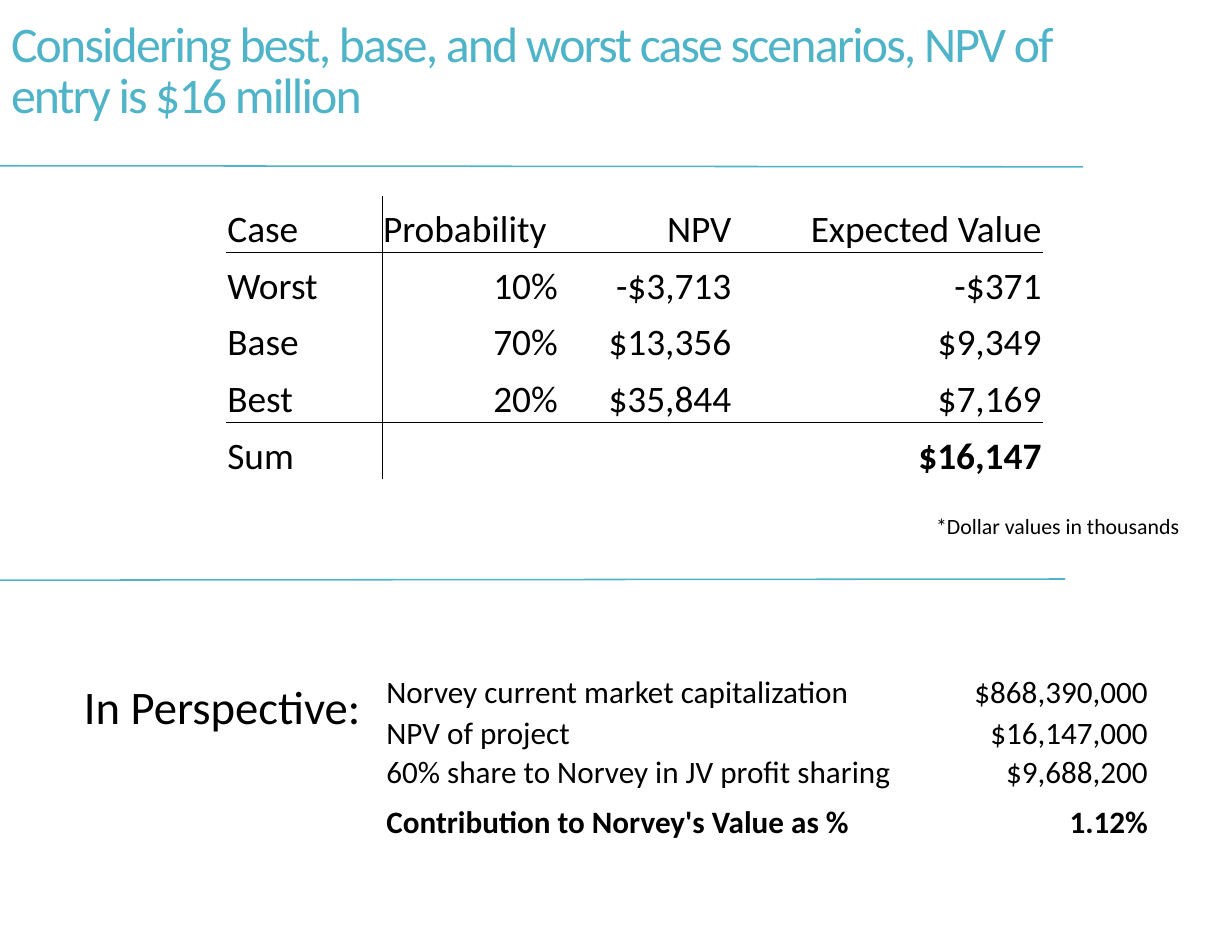
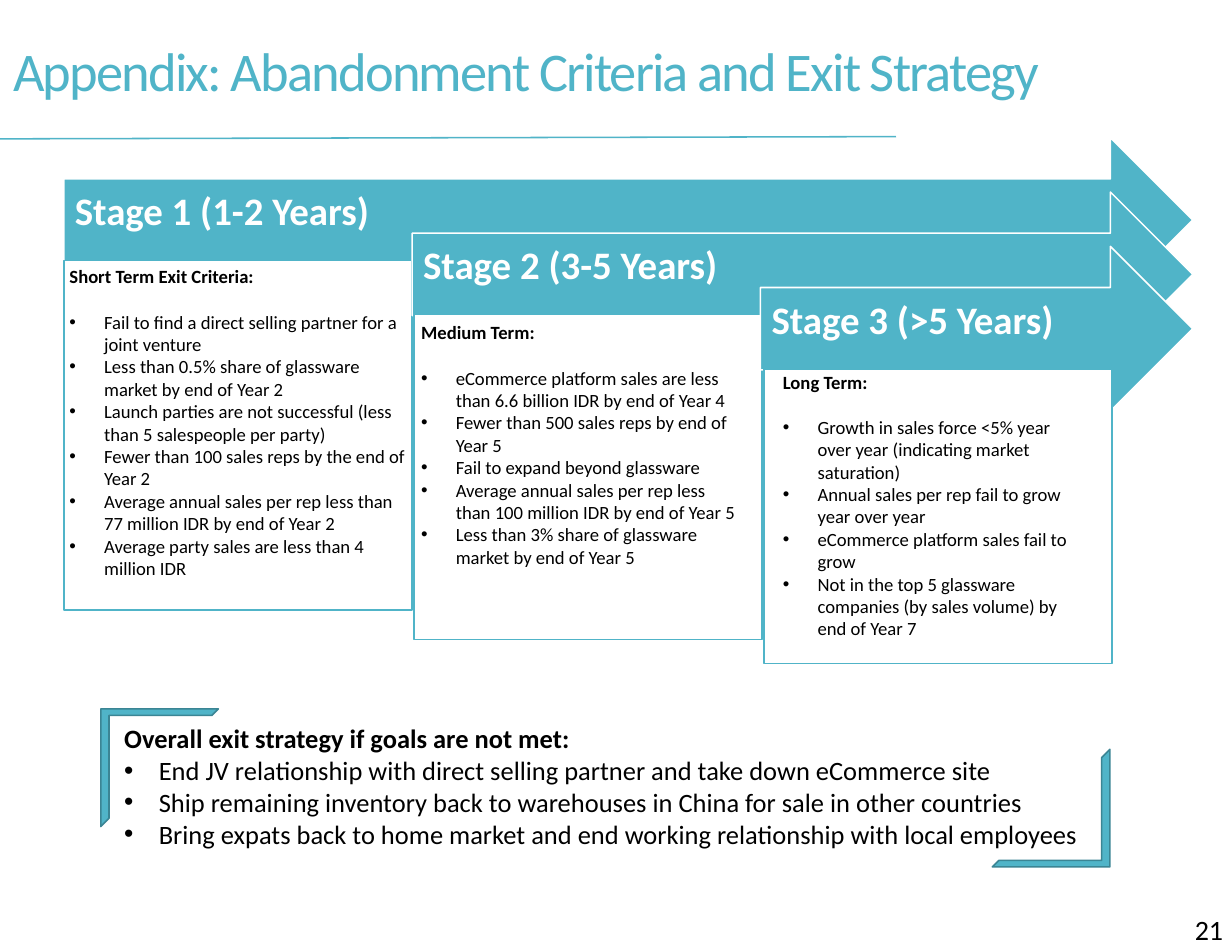
from lxml import etree
from pptx import Presentation
from pptx.dml.color import RGBColor
from pptx.enum.shapes import MSO_CONNECTOR, MSO_SHAPE
from pptx.enum.text import MSO_ANCHOR, PP_ALIGN
from pptx.oxml.ns import qn
from pptx.util import Inches, Pt

LEFT, CENTER, RIGHT = PP_ALIGN.LEFT, PP_ALIGN.CENTER, PP_ALIGN.RIGHT
TOP, MIDDLE, BOTTOM = MSO_ANCHOR.TOP, MSO_ANCHOR.MIDDLE, MSO_ANCHOR.BOTTOM
RECT, ARROW, FRAME = MSO_SHAPE.RECTANGLE, MSO_SHAPE.RIGHT_ARROW, MSO_SHAPE.HALF_FRAME
FONT = "Calibri"
TEAL, DARK_TEAL, BLACK, WHITE = "50B4C8", "3B8594", "000000", "FFFFFF"
NO_STYLE = "{2D5ABB26-0587-4C30-8999-92F81FD0307C}"

# Content
SCENARIO_TITLE = "Considering best, base, and worst case scenarios, NPV of entry is $16 million"
SCENARIOS = [
    ["", "", "", ""],
    ["", "", "", ""],
    ["Case", "Probability", "NPV", "Expected Value"],
    ["Worst", "10%", "-$3,713", "-$371"],
    ["Base", "70%", "$13,356", "$9,349"],
    ["Best", "20%", "$35,844", "$7,169"],
    ["Sum", "", "", "$16,147"],
]
HEADER_ROW, BEST_ROW, SUM_ROW = 2, 5, 6
PERSPECTIVE = [
    ["Norvey current market capitalization", "$868,390,000"],
    ["NPV of project", "$16,147,000"],
    ["60% share to Norvey in JV profit sharing", "$9,688,200"],
    ["Contribution to Norvey's Value as %", "1.12%"],
]
EXIT_TITLE = "Appendix: Abandonment Criteria and Exit Strategy"
# Each stage: label, heading, criteria, box height, text area
STAGES = [
    ("Stage 1 (1-2 Years)", "Short Term Exit Criteria:", [
        "Fail to find a direct selling partner for a joint venture",
        "Less than 0.5% share of glassware market by end of Year 2",
        "Launch parties are not successful (less than 5 salespeople per party)",
        "Fewer than 100 sales reps by the end of Year 2",
        "Average annual sales per rep less than 77 million IDR by end of Year 2",
        "Average party sales are less than 4 million IDR",
    ], 3.12, (0.57, 2.32, 3.11, 3.2)),
    ("Stage 2 (3-5 Years)", "Medium Term:", [
        "eCommerce platform sales are less than 6.6 billion IDR by end of Year 4",
        "Fewer than 500 sales reps by end of Year 5",
        "Fail to expand beyond glassware",
        "Average annual sales per rep less than 100 million IDR by end of Year 5",
        "Less than 3% share of glassware market by end of Year 5",
    ], 2.9, (3.71, 2.82, 2.95, 2.83)),
    ("Stage 3 (>5 Years)", "Long Term:", [
        "Growth in sales force <5% year over year (indicating market saturation)",
        "Annual sales per rep fail to grow year over year",
        "eCommerce platform sales fail to grow",
        "Not in the top 5 glassware companies (by sales volume) by end of Year 7",
    ], 2.63, (6.94, 3.26, 2.79, 2.83)),
]
STRATEGY_HEADING = "Overall exit strategy if goals are not met:"
STRATEGY = [
    "End JV relationship with direct selling partner and take down eCommerce site",
    "Ship remaining inventory back to warehouses in China for sale in other countries",
    "Bring expats back to home market and end working relationship with local employees",
]


# Shared helpers
def rgb(value):
    return RGBColor.from_string(value)


def inches(values):
    return [Inches(v) for v in values]


def add_para(tf, text, size=18, color=BLACK, bold=False, align=LEFT, bullet=False,
             line=None, after=0, tracking=None):
    p = tf.paragraphs[0] if not tf.paragraphs[0].runs else tf.add_paragraph()
    p.alignment, p.space_after = align, Pt(after)
    if line:
        p.line_spacing = line
    if bullet:
        pPr = p._p.get_or_add_pPr()
        pPr.set("marL", str(Inches(0.31)))
        pPr.set("indent", str(-Inches(0.31)))
        etree.SubElement(pPr, qn("a:buFont")).set("typeface", "Arial")
        etree.SubElement(pPr, qn("a:buChar")).set("char", "•")
    r = p.add_run()
    r.text = text
    r.font.name, r.font.size, r.font.bold = FONT, Pt(size), bold
    r.font.color.rgb = rgb(color)
    if tracking:
        r.font._element.set("spc", str(tracking))


def add_box(s, at, anchor=TOP, margins=(0.1, 0.05, 0.1, 0.05), wrap=True):
    tf = s.shapes.add_textbox(*inches(at)).text_frame
    tf.word_wrap, tf.vertical_anchor = wrap, anchor
    tf.margin_left, tf.margin_top, tf.margin_right, tf.margin_bottom = inches(margins)
    return tf


def add_list(tf, heading, items, size, gap=0):
    add_para(tf, heading, size=size, bold=True, after=gap)
    for item in items:
        add_para(tf, item, size=size, bullet=True)


def add_title(s, text, size, at):
    add_para(add_box(s, at, MIDDLE), text, size=size, color=TEAL, line=0.85, tracking=-120)


def add_rule(s, x, y1, y2):
    c = s.shapes.add_connector(MSO_CONNECTOR.STRAIGHT, *inches((0, y1, x, y2)))
    c.line.color.rgb, c.line.width = rgb(TEAL), Pt(1)
    etree.SubElement(c._element.spPr, qn("a:effectLst"))


def add_preset(s, kind, at, fill, line, adjust=(), rotation=0):
    sp = s.shapes.add_shape(kind, *inches(at))
    sp.shadow.inherit = False
    sp.fill.solid()
    sp.fill.fore_color.rgb = rgb(fill)
    sp.line.color.rgb, sp.line.width = rgb(line), Pt(1)
    sp.rotation = rotation
    for i, value in enumerate(adjust):
        sp.adjustments[i] = value


def set_borders(cell, sides):
    """Draw the named sides and switch the others off."""
    tcPr = cell._tc.get_or_add_tcPr()
    for i, side in enumerate("LRTB"):
        ln = etree.Element(qn("a:ln" + side), w=str(Pt(0.5)))
        if side in sides:
            fill = etree.SubElement(ln, qn("a:solidFill"))
            etree.SubElement(fill, qn("a:srgbClr")).set("val", BLACK)
        else:
            etree.SubElement(ln, qn("a:noFill"))
        tcPr.insert(i, ln)


def add_grid(s, at, rows, widths, heights, size, is_bold, align_of):
    tbl = s.shapes.add_table(len(rows), len(widths), *inches(at)).table
    tbl.first_row = tbl.horz_banding = False
    tbl._tbl.tblPr.find(qn("a:tableStyleId")).text = NO_STYLE
    for column, width in zip(tbl.columns, widths):
        column.width = Inches(width)
    for i, (row, height) in enumerate(zip(rows, heights)):
        tbl.rows[i].height = Inches(height)
        for j, text in enumerate(row):
            cell = tbl.cell(i, j)
            cell.fill.background()
            cell.vertical_anchor = BOTTOM
            (cell.margin_left, cell.margin_top,
             cell.margin_right, cell.margin_bottom) = inches((0.01, 0.02, 0.01, 0))
            if text:
                add_para(cell.text_frame, text, size=size, bold=is_bold(i, j),
                         align=align_of(i, j))
    return tbl


# Slide 1: scenario values
def build_scenarios(s):
    add_title(s, SCENARIO_TITLE, 32, (0, -0.38, 10.22, 2.06))
    table_h = 3.54
    tbl = add_grid(s, (2.02, 0.74, 7.29, table_h), SCENARIOS, (1.39, 1.58, 1.55, 2.77),
                   [table_h / len(SCENARIOS)] * len(SCENARIOS), 24,
                   lambda i, j: (i, j) == (SUM_ROW, 3),
                   lambda i, j: LEFT if j == 0 or (i, j) == (HEADER_ROW, 1) else RIGHT)
    tbl.cell(0, 0).merge(tbl.cell(0, 1))
    for i in range(HEADER_ROW, SUM_ROW + 1):
        for j in range(4):
            sides = {0: "R", 1: "L"}.get(j, "")
            if i in (HEADER_ROW, BEST_ROW):
                sides += "B"
            if i in (HEADER_ROW + 1, SUM_ROW):
                sides += "T"
            set_borders(tbl.cell(i, j), sides)
    add_para(add_box(s, (8.26, 4.53, 2.39, 0.34), wrap=False),
             "*Dollar values in thousands", size=14)
    add_para(add_box(s, (0.57, 6, 2.83, 1.11)), "In Perspective:", size=30, align=CENTER)
    add_rule(s, 9.67, 1.48, 1.49)
    add_rule(s, 9.51, 5.18, 5.17)
    add_grid(s, (3.44, 5.91, 6.82, 1.6), PERSPECTIVE, (5.07, 1.75),
             (0.45, 0.29, 0.23, 0.45), 20,
             lambda i, j: i == len(PERSPECTIVE) - 1,
             lambda i, j: RIGHT if j else LEFT)


# Slide 2: staged exit criteria
def build_exit(s):
    add_title(s, EXIT_TITLE, 35, (0.02, -0.36, 10.54, 2.06))
    add_list(add_box(s, (1.01, 6.4, 9.19, 1.25)), STRATEGY_HEADING, STRATEGY, 17)
    add_rule(s, 8, 1.24, 1.22)
    for x, y, rotation in ((0.9, 6.33, 0), (8.86, 6.69, 180)):
        add_preset(s, FRAME, (x, y, 1.05, 1.05), TEAL, DARK_TEAL, (0.055, 0.07), rotation)

    tip, arrow_h, box_w = 10.65, 1.47, 3.11
    for i, (label, heading, criteria, box_h, text_at) in enumerate(STAGES):
        x, y = 0.57 + i * box_w, 1.23 + i * 0.485
        add_preset(s, ARROW, (x, y, tip - x, arrow_h), TEAL, WHITE, (0.5, 0.5))
        tf = add_box(s, (x, y + arrow_h / 4, tip - x - arrow_h / 4, arrow_h / 2),
                     MIDDLE, (0.1, 0.1, 0.28, 0.23))
        add_para(tf, label, size=25, color=WHITE, bold=True, line=0.9)
        add_preset(s, RECT, (x + i * 0.015, y + arrow_h * 0.745, box_w, box_h), WHITE, TEAL)
        add_list(add_box(s, text_at, margins=[0.05] * 4), heading, criteria, 12, gap=14.6)

    # Page number
    add_para(add_box(s, (10.57, 8.1, 0.43, 0.4), margins=(0.1, 0.05, 0, 0.05)), "21", size=18)


def main():
    prs = Presentation()
    prs.slide_width, prs.slide_height = Inches(11), Inches(8.5)
    for build in (build_scenarios, build_exit):
        build(prs.slides.add_slide(prs.slide_layouts[6]))
    prs.save("out.pptx")


if __name__ == "__main__":
    main()
